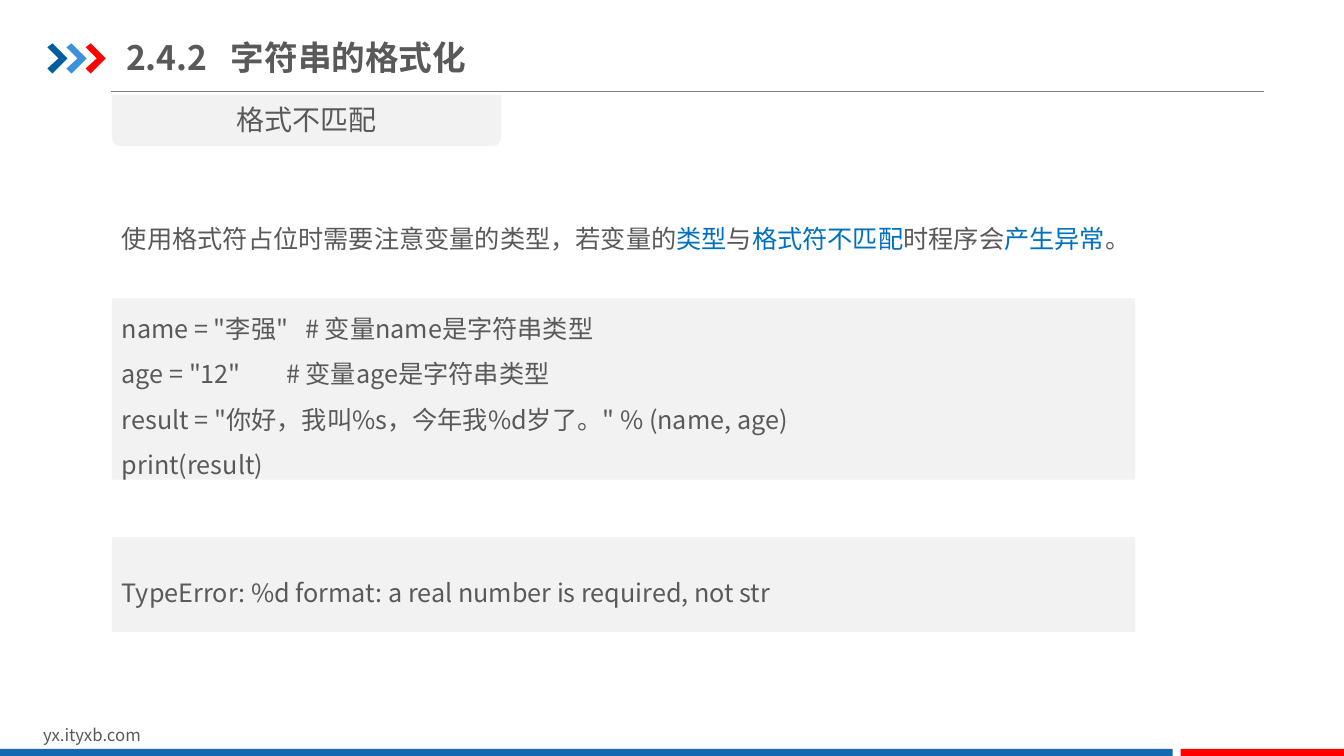
"""Build the slide on mismatched string format types."""
import dataclasses

import lxml.etree
import pptx
import pptx.dml.color
import pptx.enum.shapes
import pptx.enum.text
import pptx.oxml.ns
import pptx.util

Inches = pptx.util.Inches
Shapes = pptx.enum.shapes.MSO_SHAPE
Align = pptx.enum.text.PP_ALIGN
Anchor = pptx.enum.text.MSO_ANCHOR
qn = pptx.oxml.ns.qn


@dataclasses.dataclass(frozen=True)
class Theme:
    font: str = "Noto Sans CJK SC"
    text: str = "595959"
    accent: str = "0070C0"
    panel: str = "F2F2F2"
    rule: str = "808080"
    red: str = "FF0000"
    footer_blue: str = "1369B2"
    chevrons: tuple = ("005DA2", "3992DB", "FF0000")
    title_size: int = 24
    subtitle_size: int = 20
    body_size: int = 18
    site_size: int = 12


THEME = Theme()
HEADING = [[("2.4.2\t字符串的格式化", THEME.text)]]
SUBTITLE = [[("格式不匹配", THEME.text)]]
SITE = [[("yx.ityxb.com", THEME.text)]]
EXPLANATION = [[
    ("使用格式符占位时需要注意变量的类型，若变量的", THEME.text),
    ("类型", THEME.accent),
    ("与", THEME.text),
    ("格式符不匹配", THEME.accent),
    ("时程序会", THEME.text),
    ("产生异常", THEME.accent),
    ("。", THEME.text),
]]
CODE = [
    'name = "李强"   # 变量name是字符串类型',
    'age = "12"        # 变量age是字符串类型',
    'result = "你好，我叫%s，今年我%d岁了。" % (name, age)',
    "print(result)",
]
ERROR = ["TypeError: %d format: a real number is required, not str"]
PANELS = [(CODE, 2.96, 1.8), (ERROR, 5.33, 0.94)]
FOOTER_BARS = [(0, 11.63, THEME.footer_blue), (11.71, 1.62, THEME.red)]
CHEVRON_POINTS = [(0, 4), (5, 0), (20, 15), (5, 30), (0, 25), (11, 15)]
CHEVRON_STEP = 0.19
MARGIN = 1.11
TITLE_TAB = 1.04
FRAME = {"word_wrap": True, "auto_size": pptx.enum.text.MSO_AUTO_SIZE.NONE}
TITLE_FRAME = {"vertical_anchor": Anchor.MIDDLE, "margin_left": 0, "margin_right": 0,
               "margin_top": Inches(0.07), "margin_bottom": Inches(0.07)}


def rgb(color):
    return pptx.dml.color.RGBColor.from_string(color)


def apply(target, values):
    for key, value in values.items():
        setattr(target, key, value)


def place(target, left, top, width, height):
    box = {"left": left, "top": top, "width": width, "height": height}
    apply(target, {key: Inches(value) for key, value in box.items()})


def write(holder, paragraphs, size, frame=None, bold=False, **layout):
    text_frame = holder.text_frame
    apply(text_frame, FRAME | (frame or {}))
    for index, pieces in enumerate(paragraphs):
        paragraph = text_frame.add_paragraph() if index else text_frame.paragraphs[0]
        apply(paragraph, {"alignment": Align.LEFT, "space_before": pptx.util.Pt(0)} | layout)
        for piece, color in pieces:
            run = paragraph.add_run()
            run.text = piece
            apply(run.font, {"name": THEME.font, "size": pptx.util.Pt(size), "bold": bold})
            run.font.color.rgb = rgb(color)
            east_asian = lxml.etree.SubElement(run.font._element, qn("a:ea"))
            east_asian.set("typeface", THEME.font)


def paint(target, color):
    target.shadow.inherit = False
    target.fill.solid()
    target.fill.fore_color.rgb = rgb(color)
    target.line.fill.background()


def add_block(slide, kind, left, top, width, height, color):
    block = slide.shapes.add_shape(kind, *map(Inches, (left, top, width, height)))
    paint(block, color)
    return block


def add_label(slide, box, paragraphs, size, **layout):
    label = slide.shapes.add_textbox(*map(Inches, box))
    write(label, paragraphs, size, **layout)


def add_header(slide):
    rule = slide.shapes.add_connector(
        pptx.enum.shapes.MSO_CONNECTOR.STRAIGHT, *map(Inches, (1.1, 0.91, 12.54, 0.91)))
    rule.line.color.rgb = rgb(THEME.rule)
    rule.line.width = pptx.util.Pt(0.75)
    lxml.etree.SubElement(rule._element.spPr, qn("a:effectLst"))

    for index, color in enumerate(THEME.chevrons):
        outline = slide.shapes.build_freeform(*CHEVRON_POINTS[0], scale=Inches(0.01))
        outline.add_line_segments(CHEVRON_POINTS[1:], close=True)
        left = Inches(0.47 + index * CHEVRON_STEP)
        paint(outline.convert_to_shape(left, Inches(0.43)), color)

    heading = slide.shapes.title
    place(heading, 1.25, 0.29, 5.34, 0.55)
    properties = heading.text_frame.paragraphs[0]._p.get_or_add_pPr()
    tabs = lxml.etree.SubElement(properties, qn("a:tabLst"))
    lxml.etree.SubElement(tabs, qn("a:tab"), pos=str(Inches(TITLE_TAB)), algn="l")
    write(heading, HEADING, THEME.title_size, TITLE_FRAME, bold=True)

    tab = add_block(slide, Shapes.ROUND_2_SAME_RECTANGLE, MARGIN, 0.94, 3.86, 0.51, THEME.panel)
    tab.rotation = 180
    add_label(slide, (MARGIN, 0.97, 3.86, 0.44), SUBTITLE, THEME.subtitle_size,
              alignment=Align.CENTER)


def add_content(slide):
    explanation = slide.placeholders[1]
    place(explanation, MARGIN, 2.02, 11.51, 1.04)
    properties = explanation.text_frame.paragraphs[0]._p.get_or_add_pPr()
    apply_indent = {"marL": "0", "indent": "0"}
    for key, value in apply_indent.items():
        properties.set(key, value)
    lxml.etree.SubElement(properties, qn("a:buNone"))
    write(explanation, EXPLANATION, THEME.body_size, alignment=Align.JUSTIFY, line_spacing=1.5)

    for lines, top, height in PANELS:
        panel = add_block(slide, Shapes.RECTANGLE, MARGIN, top, 10.15, height, THEME.panel)
        paragraphs = [[(line, THEME.text)] for line in lines]
        write(panel, paragraphs, THEME.body_size, {"vertical_anchor": Anchor.MIDDLE},
              line_spacing=1.5)


def add_footer(slide):
    add_label(slide, (0.33, 7.14, 3.18, 0.3), SITE, THEME.site_size)
    for left, width, color in FOOTER_BARS:
        add_block(slide, Shapes.RECTANGLE, left, 7.43, width, 0.07, color)


def main():
    deck = pptx.Presentation()
    apply(deck, {"slide_width": Inches(13.33), "slide_height": Inches(7.5)})
    slide = deck.slides.add_slide(deck.slide_layouts[1])
    add_header(slide)
    add_content(slide)
    add_footer(slide)
    deck.save("out.pptx")


if __name__ == "__main__":
    main()
